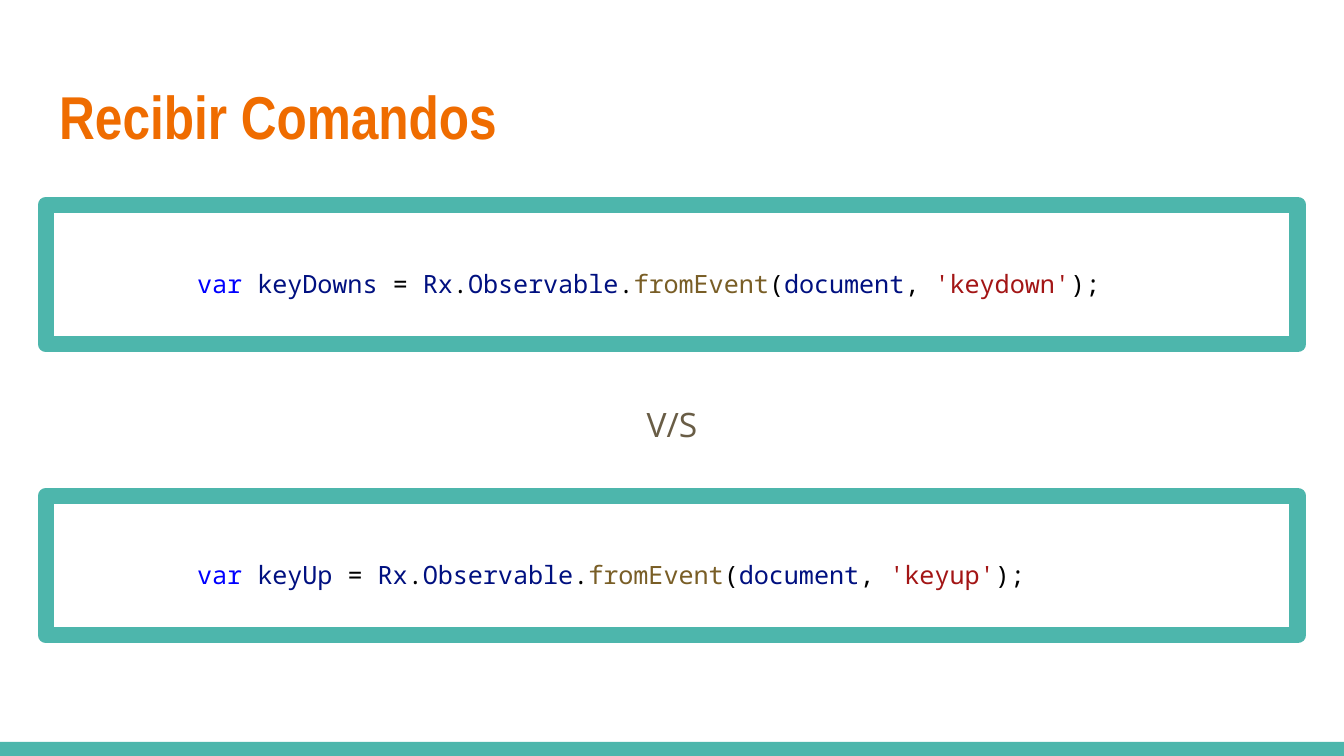
"""Builds a slide that sets two event stream statements side by side."""
import pptx
import pptx.dml.color
import pptx.enum.shapes
import pptx.enum.text
import pptx.util

RGBColor = pptx.dml.color.RGBColor
Anchor = pptx.enum.text.MSO_ANCHOR
Align = pptx.enum.text.PP_ALIGN

TEAL = RGBColor(0x4D, 0xB6, 0xAC)
ORANGE = RGBColor(0xEF, 0x6C, 0x00)
BROWN = RGBColor(0x69, 0x5D, 0x46)
BLACK = RGBColor(0x00, 0x00, 0x00)
KEYWORD = RGBColor(0x00, 0x00, 0xFF)
NAME = RGBColor(0x00, 0x10, 0x80)
FUNCTION = RGBColor(0x79, 0x5E, 0x26)
STRING = RGBColor(0xA3, 0x15, 0x15)

EMU_PER_PX = 914400 / 134.4
WIDTH, HEIGHT = 1344, 756
FRAME_LEFT, FRAME_WIDTH, FRAME_HEIGHT = 46, 1252, 139
CODE_LEFT, CODE_WIDTH, CODE_HEIGHT, CODE_DROP = 184, 975, 58, 40

TITLE_FONT = {"name": "Arial Narrow", "size": pptx.util.Pt(32.4), "bold": True}
CODE_FONT = {"name": "Noto Sans Mono", "size": pptx.util.Pt(13.5)}
VERSUS_FONT = {"name": "Open Sans", "size": pptx.util.Pt(18)}
CODE_PARA = {"line_spacing": 1.33}
VERSUS_PARA = {
    "alignment": Align.CENTER,
    "line_spacing": 1.15,
    "space_after": pptx.util.Pt(12),
}

STATEMENTS = [
    (205, "keyDowns", "'keydown'"),
    (496, "keyUp", "'keyup'"),
]


def px(*lengths):
    return [pptx.util.Emu(round(length * EMU_PER_PX)) for length in lengths]


def apply(target, values):
    for name, value in values.items():
        setattr(target, name, value)


def statement(variable, event):
    return [
        ("var", KEYWORD), (" ", BLACK), (variable, NAME), (" = ", BLACK),
        ("Rx", NAME), (".", BLACK), ("Observable", NAME), (".", BLACK),
        ("fromEvent", FUNCTION), ("(", BLACK), ("document", NAME),
        (", ", BLACK), (event, STRING), (");", BLACK),
    ]


class SlideBuilder:
    def __init__(self, deck):
        self.page = deck.slides.add_slide(deck.slide_layouts[6])

    def rectangle(self, left, top, width, height):
        shape = self.page.shapes.add_shape(
            pptx.enum.shapes.MSO_SHAPE.RECTANGLE, *px(left, top, width, height)
        )
        shape.shadow.inherit = False
        return shape

    def bar(self, left, top, width, height):
        shape = self.rectangle(left, top, width, height)
        shape.fill.solid()
        shape.fill.fore_color.rgb = TEAL
        shape.line.fill.background()

    def frame(self, left, top, width, height):
        shape = self.rectangle(left, top, width, height)
        shape.fill.background()
        shape.line.color.rgb = TEAL
        shape.line.width = pptx.util.Pt(9)

    def text(self, left, top, width, height, spans, font, para_format=None, anchor=Anchor.TOP):
        box = self.page.shapes.add_textbox(*px(left, top, width, height))
        frame = box.text_frame
        margins = dict.fromkeys(
            ("margin_left", "margin_top", "margin_right", "margin_bottom"),
            pptx.util.Inches(0.1),
        )
        apply(frame, {"word_wrap": True, "vertical_anchor": anchor, **margins})
        para = frame.paragraphs[0]
        apply(para, para_format or {})
        for words, color in spans:
            span = para.add_run()
            span.text = words
            apply(span.font, font)
            span.font.color.rgb = color


def main():
    deck = pptx.Presentation()
    deck.slide_width, deck.slide_height = px(WIDTH, HEIGHT)
    slide = SlideBuilder(deck)
    slide.bar(0, 742, WIDTH, 14)
    slide.text(FRAME_LEFT, 66, FRAME_WIDTH, 103, [("Recibir Comandos", ORANGE)], TITLE_FONT)
    for top, variable, event in STATEMENTS:
        slide.frame(FRAME_LEFT, top, FRAME_WIDTH, FRAME_HEIGHT)
        slide.text(
            CODE_LEFT, top + CODE_DROP, CODE_WIDTH, CODE_HEIGHT,
            statement(variable, event), CODE_FONT, CODE_PARA,
        )
    slide.text(
        314, 363, 716, 117, [("V/S", BROWN)], VERSUS_FONT, VERSUS_PARA, Anchor.MIDDLE
    )
    deck.save("out.pptx")


if __name__ == "__main__":
    main()
